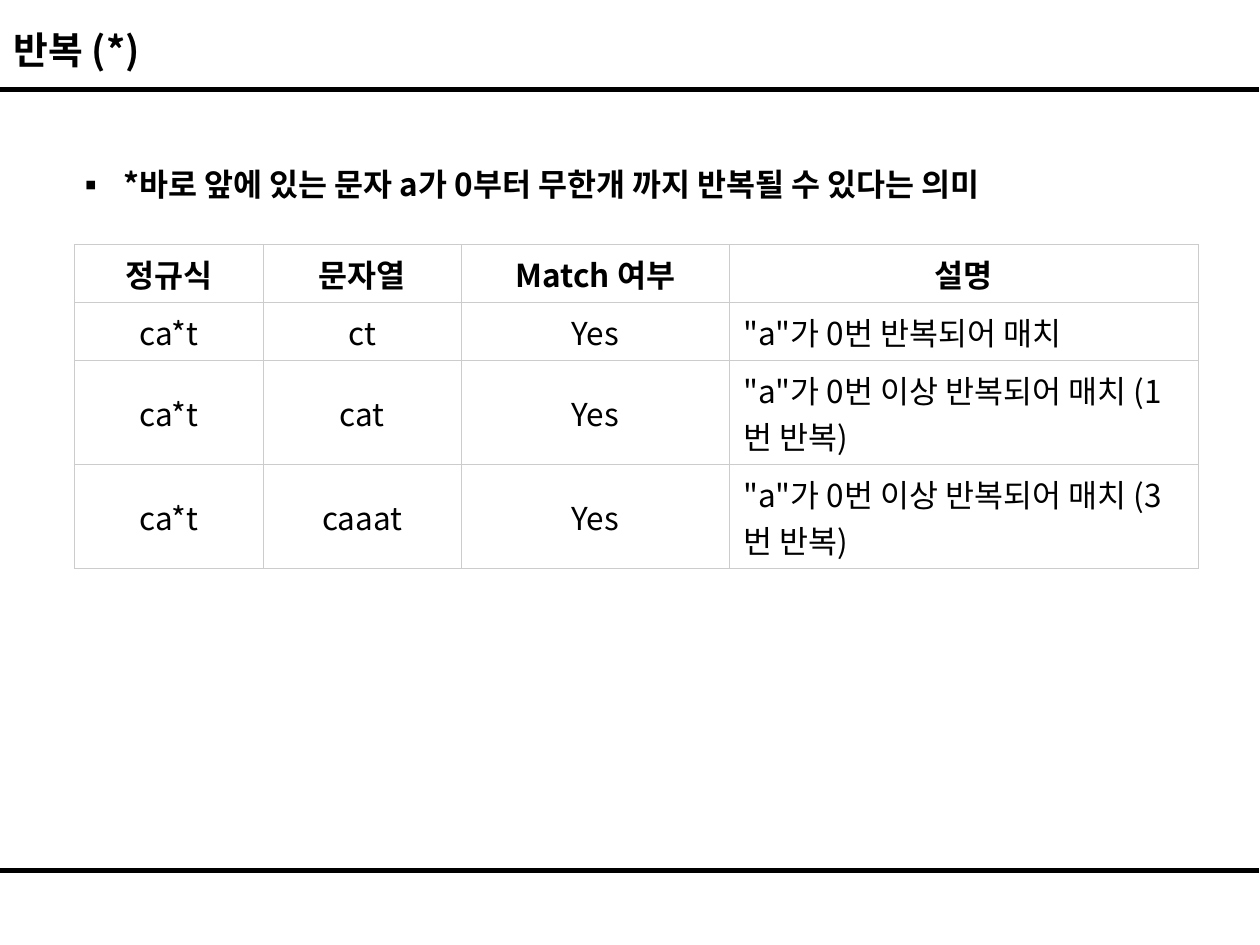
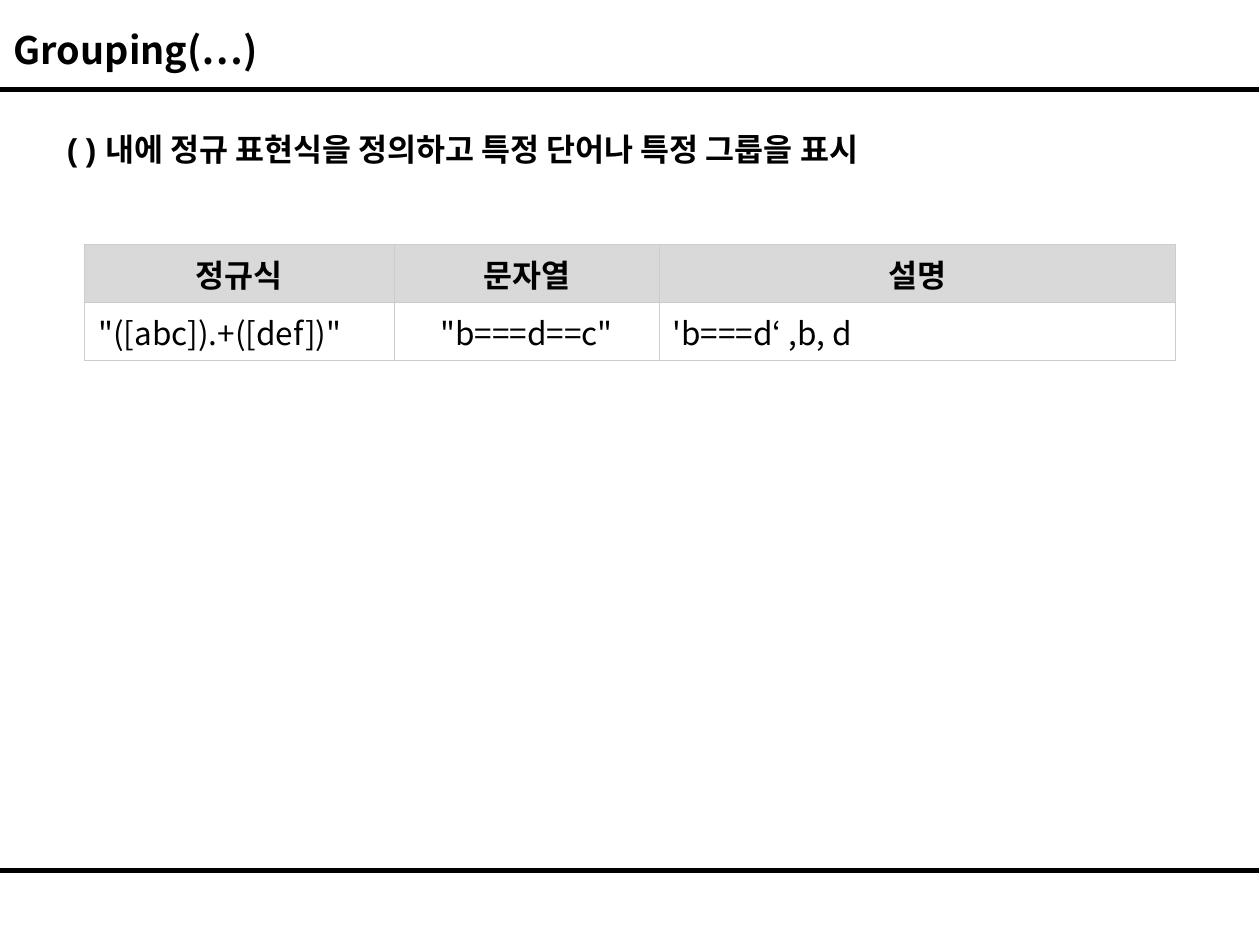
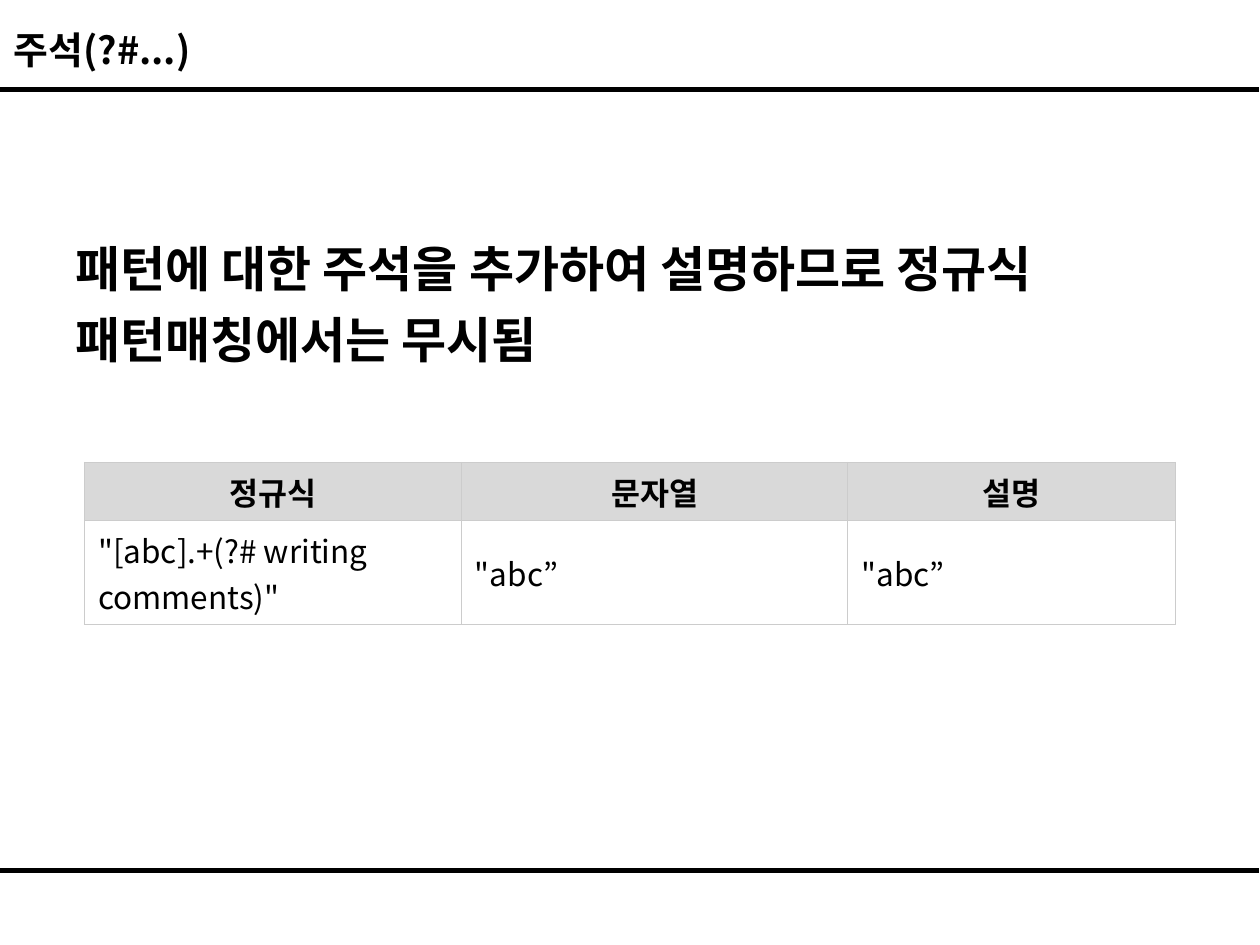
from lxml import etree
from pptx import Presentation, util as u
from pptx.dml.color import RGBColor
from pptx.enum import shapes, text
from pptx.oxml import ns

COLS, ROWS = 100, 75
FACE = "Noto Sans CJK KR"
BLACK, WHITE, GREY, EDGE = "000000", "FFFFFF", "D9D9D9", "CCCCCC"
ALIGN = {"c": text.PP_ALIGN.CENTER, "l": text.PP_ALIGN.LEFT}


def color(code):
    return RGBColor.from_string(code)


def put(obj, form):
    """Set each attribute of obj from a dict of format values."""
    for key, val in form.items():
        setattr(obj, key, val)


def sub(node, tag, **attrs):
    return etree.SubElement(node, ns.qn("a:" + tag), attrs)


class Deck:
    rules = (7.1, 69.1)
    row = 4.6

    def __init__(self):
        self.prs = Presentation()
        put(self.prs, {"slide_width": u.Inches(10), "slide_height": u.Inches(7.5)})
        self.slide = None

    def x(self, cols):
        return round(self.prs.slide_width * cols / COLS)

    def y(self, rows):
        return round(self.prs.slide_height * rows / ROWS)

    def place(self, shape, left, top, wide, high):
        put(shape, {"left": self.x(left), "top": self.y(top),
                    "width": self.x(wide), "height": self.y(high)})

    def page(self, title):
        """Start a slide with its two rules and its title."""
        self.slide = self.prs.slides.add_slide(self.prs.slide_layouts[1])
        for top in self.rules:
            self.rule(top)
        head = self.slide.shapes.title
        self.place(head, 0.1, 1.6, 98.8, 4.6)
        put(head.text_frame, {"auto_size": text.MSO_AUTO_SIZE.NONE,
                              "vertical_anchor": text.MSO_ANCHOR.MIDDLE})
        self.label(head.text_frame, title, 21.6)

    def rule(self, top):
        line = self.slide.shapes.add_connector(
            shapes.MSO_CONNECTOR.STRAIGHT,
            self.x(-0.1), self.y(top), self.x(99.9), self.y(top))
        line.line.color.rgb = color(BLACK)
        line.line.width = u.Pt(2.75)
        sub(line._element.spPr, "effectLst")

    def label(self, frame, words, size=18, bold=True, align="l", face=FACE):
        para = frame.paragraphs[0]
        para.alignment = ALIGN[align]
        run = para.add_run()
        run.text = words
        put(run.font, {"size": u.Pt(size), "bold": bold, "name": face})
        run.font.color.rgb = color(BLACK)
        latin = run._r.rPr.find(ns.qn("a:latin"))
        latin.addnext(etree.Element(ns.qn("a:ea"), typeface=FACE))
        return para

    def body(self, words, box, size=18, face=FACE, mark=None):
        shape = self.slide.placeholders[1]
        self.place(shape, *box)
        shape.text_frame.auto_size = text.MSO_AUTO_SIZE.NONE
        para = self.label(shape.text_frame, words, size, face=face)
        props = para._p.get_or_add_pPr()
        dent = u.Inches(0.38) if mark else 0
        props.set("marL", str(dent))
        props.set("indent", str(-dent))
        if mark:
            sub(props, "buFont", typeface=FACE)
            sub(props, "buChar", char=mark)
        else:
            sub(props, "buNone")
        put(para, {"line_spacing": 1.2, "space_before": u.Pt(0)})

    def table(self, left, top, wides, aligns, rows, shade=GREY):
        """Draw a table whose first row is a bold, centred header."""
        grid = self.slide.shapes.add_table(
            len(rows), len(wides), self.x(left), self.y(top),
            self.x(sum(wides)), self.y(self.row * len(rows))).table
        put(grid, {"first_row": False, "horz_banding": False})
        for col, wide in zip(grid.columns, wides):
            col.width = self.x(wide)
        for r, words in enumerate(rows):
            grid.rows[r].height = self.y(self.row)
            for c, word in enumerate(words):
                top_row = r == 0
                self.cell(grid.cell(r, c), word, top_row,
                          "c" if top_row else aligns[c],
                          shade if top_row else WHITE)

    def cell(self, cell, word, bold, align, shade):
        side, edge = u.Inches(0.11), u.Inches(0.05)
        put(cell, {"margin_left": side, "margin_right": side,
                   "margin_top": edge, "margin_bottom": edge,
                   "vertical_anchor": text.MSO_ANCHOR.MIDDLE})
        self.label(cell.text_frame, word, bold=bold, align=align)
        props = cell._tc.get_or_add_tcPr()
        for tag in ("lnL", "lnR", "lnT", "lnB"):
            line = sub(props, tag, w=str(u.Pt(0.6)))
            sub(sub(line, "solidFill"), "srgbClr", val=EDGE)
        cell.fill.solid()
        cell.fill.fore_color.rgb = color(shade)


def main():
    deck = Deck()

    # Repetition
    deck.page("반복 (*)")
    deck.body("*바로 앞에 있는 문자 a가 0부터 무한개 까지 반복될 수 있다는 의미",
              (5, 12, 90, 14.5), mark="▪")
    deck.table(5.9, 19.4, (15, 15.7, 21.3, 37.2), "cccl", [
        ("정규식", "문자열", "Match 여부", "설명"),
        ("ca*t", "ct", "Yes", '"a"가 0번 반복되어 매치'),
        ("ca*t", "cat", "Yes", '"a"가 0번 이상 반복되어 매치 (1번 반복)'),
        ("ca*t", "caaat", "Yes", '"a"가 0번 이상 반복되어 매치 (3번 반복)'),
    ], WHITE)

    # Grouping
    deck.page("Grouping(…)")
    deck.body("( ) 내에 정규 표현식을 정의하고 특정 단어나 특정 그룹을 표시",
              (4.3, 9.2, 90, 10.6), face="Arial")
    deck.table(6.7, 19.4, (24.6, 21, 41), "lcl", [
        ("정규식", "문자열", "설명"),
        ('"([abc]).+([def])"', '"b===d==c"', "'b===d‘ ,b, d"),
    ])

    # Comments
    deck.page("주석(?#...)")
    deck.body("패턴에 대한 주석을 추가하여 설명하므로 정규식 패턴매칭에서는 무시됨",
              (5, 17.5, 90, 13.7), size=28)
    deck.table(6.7, 36.7, (29.9, 30.7, 26), "lll", [
        ("정규식", "문자열", "설명"),
        ('"[abc].+(?# writing comments)"', '"abc”', '"abc”'),
    ])

    deck.prs.save("out.pptx")


if __name__ == "__main__":
    main()
